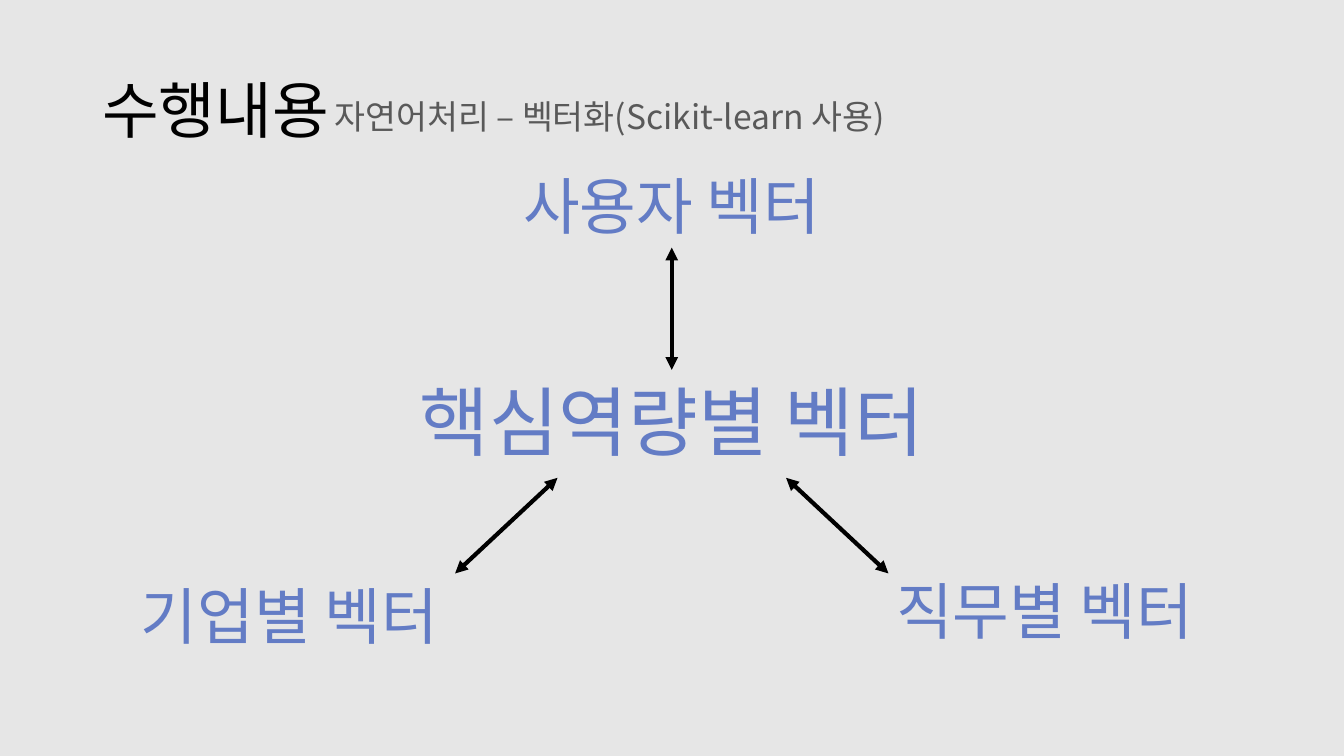
from lxml import etree
from pptx import Presentation
from pptx.dml.color import RGBColor
from pptx.enum.shapes import MSO_CONNECTOR
from pptx.enum.text import MSO_ANCHOR, PP_ALIGN
from pptx.oxml.ns import qn
from pptx.util import Cm, Pt

LINE = MSO_CONNECTOR.STRAIGHT
TOP, MIDDLE = MSO_ANCHOR.TOP, MSO_ANCHOR.MIDDLE
LEFT, CENTER = PP_ALIGN.LEFT, PP_ALIGN.CENTER
PAPER = RGBColor(0xE6, 0xE6, 0xE6)
BLACK = RGBColor(0, 0, 0)
GRAY = RGBColor(0x59, 0x59, 0x59)
BLUE = RGBColor(0x63, 0x7C, 0xC5)
FONT = "Noto Sans CJK KR"

WIDE, HIGH = 33.87, 19.05
MID = 16.93
TITLE = ("수행내용", 2.33, 1.01, 29.21, 3.68)
TOPIC = ("자연어처리 – 벡터화(Scikit-learn 사용)", 8.18, 2.29, 18.54, 1.27)
CORE = ("핵심역량별 벡터", MID, 9.32, 13.36, 2.57, 54)
NODES = [
    ("사용자 벡터", MID, 4.11),
    ("기업별 벡터", 7.3, 14.45),
    ("직무별 벡터", 26.33, 14.3),
]
NODE_W, NODE_H = 9.93, 2.13
ARM_IN, ARM_OUT = (2.88, 12.04), (5.46, 14.45)

deck = Presentation()
deck.slide_width, deck.slide_height = Cm(WIDE), Cm(HIGH)
slide = deck.slides.add_slide(deck.slide_layouts[6])
slide.background.fill.solid()
slide.background.fill.fore_color.rgb = PAPER


def add_text(text, x, y, w, h, size, color, align=LEFT, anchor=TOP):
    box = slide.shapes.add_textbox(Cm(x), Cm(y), Cm(w), Cm(h))
    frame = box.text_frame
    frame.word_wrap = True
    frame.vertical_anchor = anchor
    frame.text = text
    para = frame.paragraphs[0]
    para.alignment = align
    font = para.runs[0].font
    font.size, font.name = Pt(size), FONT
    font.color.rgb = color
    props = para.runs[0]._r.get_or_add_rPr()
    etree.SubElement(props, qn("a:ea")).set("typeface", FONT)
    return box


def add_node(text, mid, y, w=NODE_W, h=NODE_H, size=44):
    return add_text(text, mid - w / 2, y, w, h, size, BLUE, CENTER)


def add_arrow(x1, y1, x2, y2):
    arrow = slide.shapes.add_connector(LINE, Cm(x1), Cm(y1), Cm(x2), Cm(y2))
    arrow.line.width = Pt(3)
    arrow.line.color.rgb = BLACK
    stroke = arrow.line._get_or_add_ln()
    for end in ("a:headEnd", "a:tailEnd"):
        etree.SubElement(stroke, qn(end)).set("type", "triangle")
    etree.SubElement(arrow._element.spPr, qn("a:effectLst"))
    return arrow


title = add_text(*TITLE, 44, BLACK, anchor=MIDDLE)
title.text_frame.paragraphs[0].line_spacing = 0.9
add_text(*TOPIC, 24, GRAY)
core = add_node(*CORE)
user, firm, job = [add_node(*node) for node in NODES]

stem = add_arrow(MID, NODES[0][2] + NODE_H, MID, CORE[2])
stem.begin_connect(user, 2)
stem.end_connect(core, 0)
for side in (-1, 1):
    add_arrow(MID + side * ARM_IN[0], ARM_IN[1],
              MID + side * ARM_OUT[0], ARM_OUT[1])

deck.save("out.pptx")
